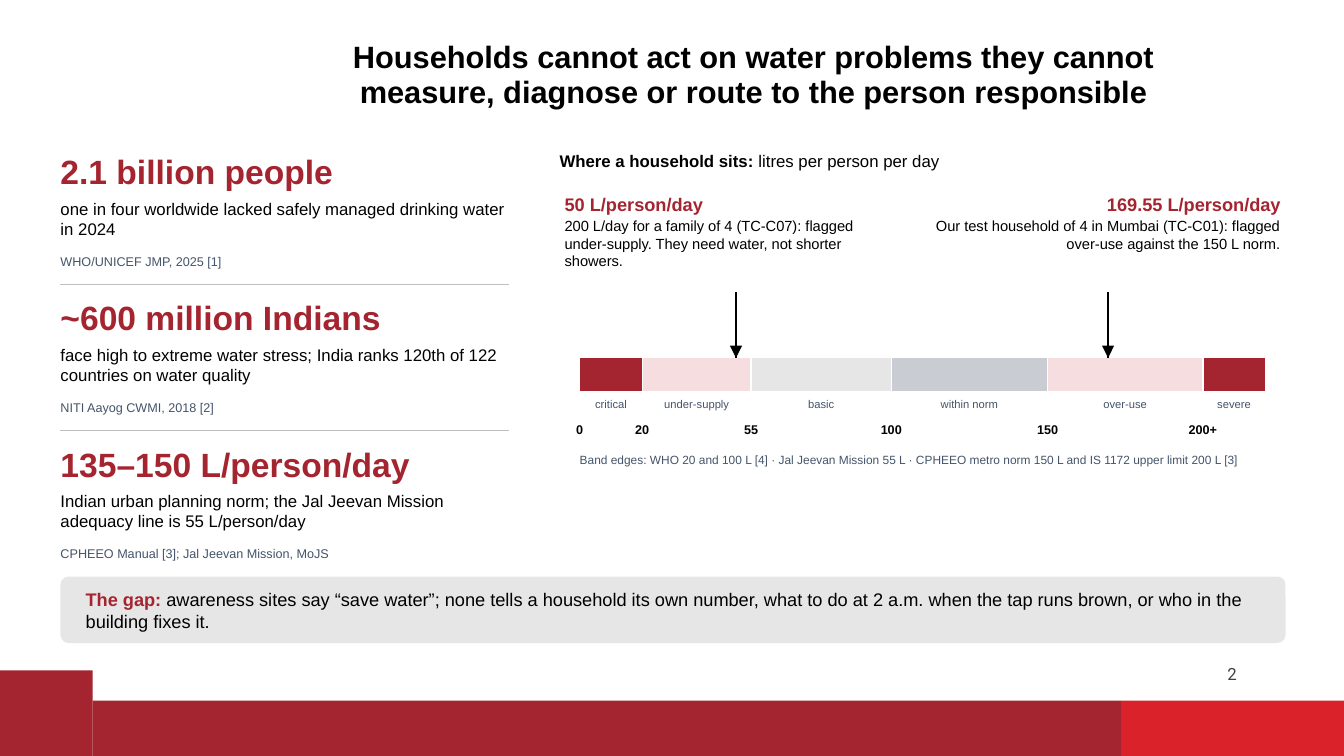
from dataclasses import dataclass
from itertools import pairwise

from lxml import etree
from pptx import Presentation
from pptx.dml.color import RGBColor
from pptx.enum.shapes import MSO_CONNECTOR, MSO_SHAPE
from pptx.enum.text import MSO_ANCHOR, MSO_AUTO_SIZE, PP_ALIGN
from pptx.oxml.ns import qn
from pptx.shapes.autoshape import Shape
from pptx.slide import Slide
from pptx.util import Emu, Pt

RECT, ROUND = MSO_SHAPE.RECTANGLE, MSO_SHAPE.ROUNDED_RECTANGLE
TRIANGLE = MSO_SHAPE.ISOSCELES_TRIANGLE
STRAIGHT = MSO_CONNECTOR.STRAIGHT
TOP, MIDDLE = MSO_ANCHOR.TOP, MSO_ANCHOR.MIDDLE
LEFT, CENTER, RIGHT = PP_ALIGN.LEFT, PP_ALIGN.CENTER, PP_ALIGN.RIGHT
SCALE = 9144  # EMU in one px, 100 px to the inch


@dataclass(frozen=True)
class Theme:
    font: str = "Arial"
    digit: str = "Roboto"
    black: str = "000000"
    white: str = "FFFFFF"
    brand: str = "A42530"
    bright: str = "D9222A"
    blush: str = "F6DDDF"
    pale: str = "E7E6E6"
    steel: str = "C9CDD3"
    slate: str = "44546A"
    rule: str = "BFBFBF"
    dark: str = "404040"
    title: float = 22
    big: float = 24
    head: float = 13
    body: float = 12
    note: float = 10.5
    small: float = 9
    edge: float = 8.5
    tiny: float = 8


THEME = Theme()


@dataclass(frozen=True)
class Box:
    x: int
    y: int
    w: int
    h: int


@dataclass(frozen=True)
class Run:
    text: str
    size: float
    color: str = THEME.black
    bold: bool = False
    font: str = THEME.font


@dataclass(frozen=True)
class Fact:
    figure: str
    claim: str
    source: str


@dataclass(frozen=True)
class Band:
    label: str
    low: int
    high: int
    color: str


@dataclass(frozen=True)
class Case:
    litres: float
    note: str
    box: Box
    align: PP_ALIGN


FACTS = [
    Fact("2.1 billion people",
         "one in four worldwide lacked safely managed drinking water in 2024",
         "WHO/UNICEF JMP, 2025 [1]"),
    Fact("~600 million Indians",
         "face high to extreme water stress; India ranks 120th of 122 countries on water quality",
         "NITI Aayog CWMI, 2018 [2]"),
    Fact("135–150 L/person/day",
         "Indian urban planning norm; the Jal Jeevan Mission adequacy line is 55 L/person/day",
         "CPHEEO Manual [3]; Jal Jeevan Mission, MoJS"),
]
NAMES = ["critical", "under-supply", "basic", "within norm", "over-use", "severe"]
FILLS = [THEME.brand, THEME.blush, THEME.pale, THEME.steel, THEME.blush, THEME.brand]
EDGES = [0, 20, 55, 100, 150, 200, 220]
BANDS = [Band(name, *ends, fill)
         for name, ends, fill in zip(NAMES, pairwise(EDGES), FILLS)]
CASES = [
    Case(50, "200 L/day for a family of 4 (TC-C07): flagged under-supply. "
         "They need water, not shorter showers.", Box(560, 192, 325, 95), LEFT),
    Case(169.55, "Our test household of 4 in Mumbai (TC-C01): flagged over-use "
         "against the 150 L norm.", Box(925, 192, 345, 95), RIGHT),
]
FOOTER = [
    (Box(0, 665, 92, 85), THEME.brand),
    (Box(1112, 695, 221, 55), THEME.bright),
    (Box(92, 695, 1020, 55), THEME.brand),
]
AXIS = Box(575, 355, 680, 34)


def px(n: int) -> Emu:
    return Emu(n * SCALE)


def frame(box: Box) -> tuple[Emu, Emu, Emu, Emu]:
    return px(box.x), px(box.y), px(box.w), px(box.h)


def spot(litres: float) -> int:
    """Horizontal px of a daily amount on the band axis."""
    return round(AXIS.x + AXIS.w * litres / EDGES[-1])


def fill_text(shape: Shape, paras: list[list[Run]], align: PP_ALIGN = LEFT,
              anchor: MSO_ANCHOR = TOP, after: float = 0) -> None:
    body = shape.text_frame
    body.word_wrap, body.auto_size = True, MSO_AUTO_SIZE.NONE
    body.vertical_anchor = anchor
    body.margin_left = body.margin_right = body.margin_top = body.margin_bottom = 0
    for i, runs in enumerate(paras):
        para = body.add_paragraph() if i else body.paragraphs[0]
        para.alignment, para.space_after = align, Pt(after)
        for run in runs:
            part = para.add_run()
            part.text = run.text
            font = part.font if len(runs) > 1 else para.font
            font.name, font.size, font.bold = run.font, Pt(run.size), run.bold
            font.color.rgb = RGBColor.from_string(run.color)


def add_text(slide: Slide, box: Box, *runs: Run, align: PP_ALIGN = LEFT,
             anchor: MSO_ANCHOR = TOP) -> None:
    fill_text(slide.shapes.add_textbox(*frame(box)), [list(runs)], align, anchor)


def add_block(slide: Slide, box: Box, color: str, kind: MSO_SHAPE = RECT,
              line: str = "") -> Shape:
    block = slide.shapes.add_shape(kind, *frame(box))
    block.shadow.inherit = False
    block.fill.solid()
    block.fill.fore_color.rgb = RGBColor.from_string(color)
    if line:
        block.line.color.rgb, block.line.width = RGBColor.from_string(line), Pt(1)
    else:
        block.line.fill.background()
    return block


def add_line(slide: Slide, x1: int, y1: int, x2: int, y2: int,
             color: str, width: float) -> None:
    line = slide.shapes.add_connector(STRAIGHT, px(x1), px(y1), px(x2), px(y2))
    line.line.color.rgb, line.line.width = RGBColor.from_string(color), Pt(width)
    etree.SubElement(line._element.spPr, qn("a:effectLst"))


def add_title(slide: Slide, text: str) -> None:
    title = slide.shapes.title
    title.left, title.top, title.width, title.height = frame(Box(295, 27, 905, 95))
    fill_text(title, [[Run(text, THEME.title, bold=True)]], CENTER, MIDDLE)
    title.text_frame.paragraphs[0].line_spacing = 0.95


def add_fact(slide: Slide, fact: Fact, y: int) -> None:
    add_text(slide, Box(60, y, 450, 45), Run(fact.figure, THEME.big, THEME.brand, True))
    add_text(slide, Box(60, y + 47, 445, 55), Run(fact.claim, THEME.body))
    add_text(slide, Box(60, y + 102, 445, 22), Run(fact.source, THEME.small, THEME.slate))


def add_band(slide: Slide, band: Band) -> None:
    x = spot(band.low)
    w = spot(band.high) - x
    add_block(slide, Box(x, AXIS.y, w, AXIS.h), band.color, line=THEME.white)
    add_text(slide, Box(x, 394, w, 22), Run(band.label, THEME.tiny, THEME.slate), align=CENTER)
    mark = f"{band.low}+" if band is BANDS[-1] else str(band.low)
    add_text(slide, Box(x - 30, 419, 60, 22), Run(mark, THEME.small, bold=True), align=CENTER)


def add_case(slide: Slide, case: Case) -> None:
    x = spot(case.litres)
    add_line(slide, x, 290, x, AXIS.y, THEME.black, 1.25)
    tip = add_block(slide, Box(x - 6, AXIS.y - 12, 12, 12), THEME.black, TRIANGLE)
    tip.rotation = 180
    head = Run(f"{case.litres} L/person/day", THEME.head, THEME.brand, True)
    fill_text(slide.shapes.add_textbox(*frame(case.box)),
              [[head], [Run(case.note, THEME.note)]], case.align, after=1)


def main() -> None:
    deck = Presentation()
    deck.slide_width, deck.slide_height = px(1333), px(750)
    slide = deck.slides.add_slide(deck.slide_layouts[5])
    for box, color in FOOTER:
        add_block(slide, box, color)
    add_title(slide, "Households cannot act on water problems they cannot measure, "
              "diagnose or route to the person responsible")
    add_text(slide, Box(1112, 641, 220, 54),
             Run("2", THEME.body, THEME.dark, font=THEME.digit), align=CENTER, anchor=MIDDLE)
    for i, fact in enumerate(FACTS):
        y = 150 + 145 * i
        if i:
            add_line(slide, 60, y - 13, 505, y - 13, THEME.rule, 0.75)
        add_fact(slide, fact, y)
    add_text(slide, Box(555, 150, 720, 30),
             Run("Where a household sits: ", THEME.body, bold=True),
             Run("litres per person per day", THEME.body))
    for band in BANDS:
        add_band(slide, band)
    add_text(slide, Box(AXIS.x, 449, AXIS.w, 30),
             Run("Band edges: WHO 20 and 100 L [4] · Jal Jeevan Mission 55 L · CPHEEO metro "
                 "norm 150 L and IS 1172 upper limit 200 L [3]", THEME.edge, THEME.slate))
    for case in CASES:
        add_case(slide, case)
    panel = add_block(slide, Box(60, 572, 1215, 66), THEME.pale, ROUND)
    panel.adjustments[0] = 0.12
    add_text(slide, Box(85, 572, 1170, 66),
             Run("The gap: ", THEME.head, THEME.brand, True),
             Run("awareness sites say “save water”; none tells a household its own number, what "
                 "to do at 2 a.m. when the tap runs brown, or who in the building fixes it.",
                 THEME.head), anchor=MIDDLE)
    deck.save("out.pptx")


if __name__ == "__main__":
    main()
